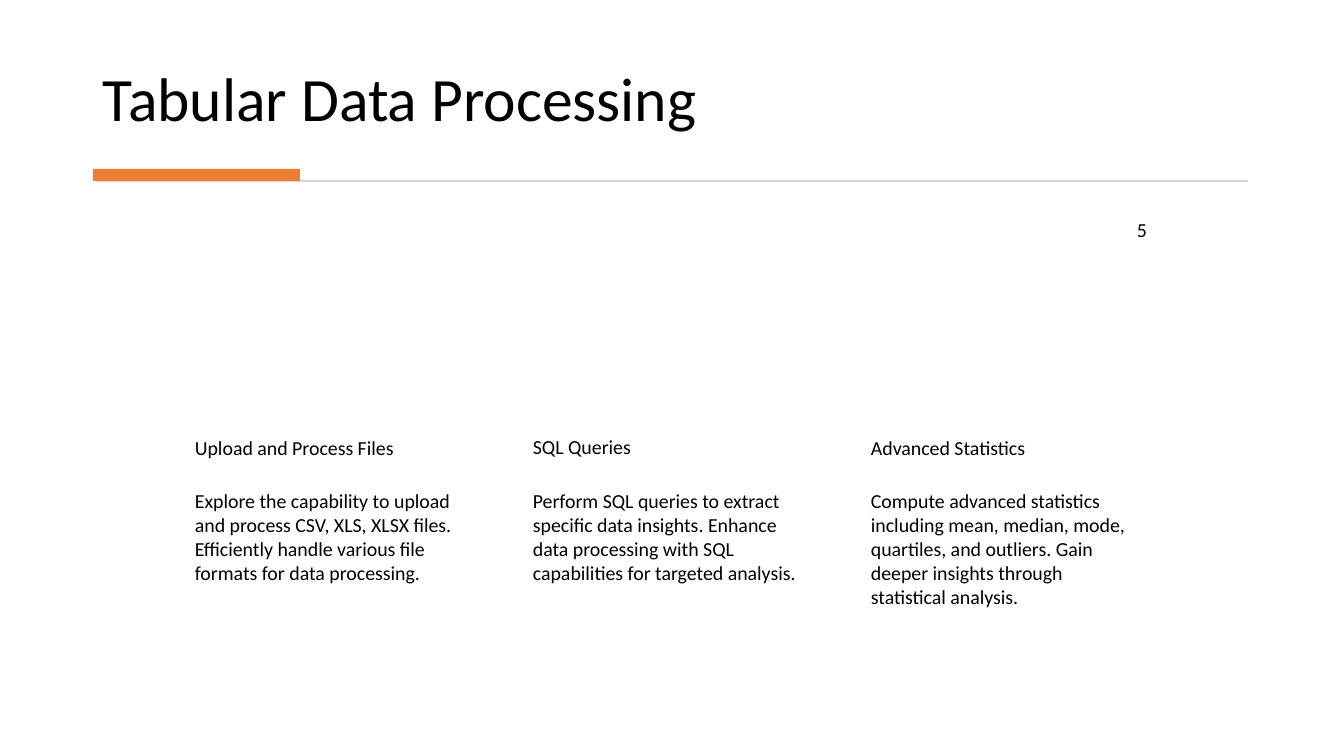
from pptx import Presentation
from pptx.dml.color import RGBColor
from pptx.enum.shapes import MSO_SHAPE as SHAPE
from pptx.enum.text import MSO_ANCHOR as ANCHOR
from pptx.util import Emu, Pt

COLUMNS = [
    ("Upload and Process Files", 431,
     "Explore the capability to upload and process CSV, XLS, XLSX files. "
     "Efficiently handle various file formats for data processing."),
    ("SQL Queries", 430,
     "Perform SQL queries to extract specific data insights. "
     "Enhance data processing with SQL capabilities for targeted analysis."),
    ("Advanced Statistics", 431,
     "Compute advanced statistics including mean, median, mode, quartiles, "
     "and outliers. Gain deeper insights through statistical analysis."),
]


def px(n):
    """Convert pixels at 100.8 per inch to EMU."""
    return Emu(round(n * 914400 / 100.8))


def rgb(value):
    """Return the colour for a hex string."""
    return RGBColor.from_string(value)


def add_text(s, box, text, size=14.2, anchor=ANCHOR.TOP, spacing=None, after=6):
    """Add a wrapped text box with one paragraph."""
    tf = s.shapes.add_textbox(*map(px, box)).text_frame
    tf.word_wrap = True
    tf.vertical_anchor = anchor
    p = tf.paragraphs[0]
    p.text = text
    p.line_spacing = spacing
    p.space_after = Pt(after)
    p.font.size = Pt(size)
    p.font.name = "Calibri"
    p.font.color.rgb = rgb("000000")


def add_bar(s, box, color):
    """Add a plain filled rectangle."""
    sp = s.shapes.add_shape(SHAPE.RECTANGLE, *map(px, box))
    sp.shadow.inherit = False
    sp.fill.solid()
    sp.fill.fore_color.rgb = rgb(color)
    sp.line.fill.background()


def add_column(s, x, heading, top, body):
    """Add a heading with its description below."""
    add_text(s, (x, top, 287, 52), heading)
    add_text(s, (x, 484, 287, 209), body)


def main():
    """Build and save the slide."""
    prs = Presentation()
    prs.slide_width, prs.slide_height = px(1344), px(756)
    s = prs.slides.add_slide(prs.slide_layouts[6])
    add_text(s, (93, 28, 1158, 112), "Tabular Data Processing", 44,
             ANCHOR.BOTTOM, 0.9, 0)
    add_bar(s, (96, 180, 1152, 2), "D5D5D5")
    add_bar(s, (93, 169, 207, 12), "ED7D31")
    add_text(s, (1127, 213, 32, 32), "5")
    for i, column in enumerate(COLUMNS):
        add_column(s, 185 + 338 * i, *column)
    prs.save("out.pptx")


if __name__ == "__main__":
    main()
